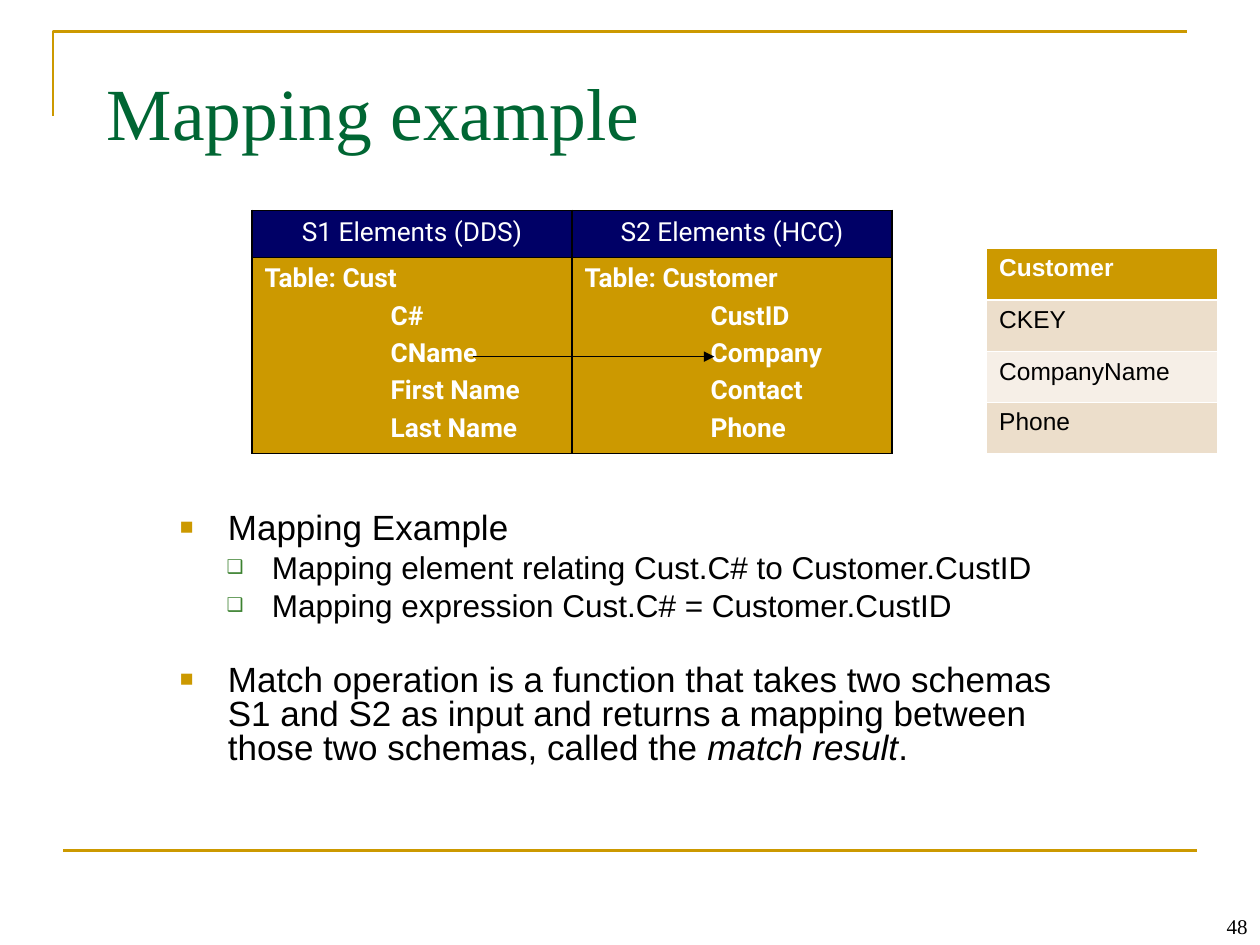
from lxml.etree import SubElement
from pptx import Presentation
from pptx.dml.color import RGBColor
from pptx.enum.shapes import MSO_CONNECTOR
from pptx.enum.text import MSO_ANCHOR, PP_ALIGN
from pptx.oxml.ns import qn
from pptx.util import Inches, Pt

GOLD, NAVY, GREEN, WHITE, BLACK = "CC9900", "000066", "006633", "FFFFFF", "000000"
TITLE = {"name": "Times New Roman", "size": Pt(42), "color": GREEN}
PAGE_NUMBER = {"name": "Times New Roman", "size": Pt(12), "color": BLACK}
BODY = {"name": "Arial", "size": Pt(20), "color": BLACK}
SUB_BODY = BODY | {"size": Pt(18)}
SCHEMA_HEAD = {"name": "Roboto", "size": Pt(15), "color": WHITE}
SCHEMA_BODY = SCHEMA_HEAD | {"bold": True}
CUSTOMER_BODY = {"name": "Arial", "size": Pt(14), "color": BLACK, "bold": False}
CUSTOMER_HEAD = CUSTOMER_BODY | {"color": WHITE, "bold": True}

MAIN_BULLET = {"char": "■", "color": GOLD, "percent": 65, "left": 0.38, "hang": 0.38}
SUB_BULLET = {"char": "❑", "color": "3B812F", "percent": 60, "left": 0.73, "hang": 0.36}
# bullet, font, space before, spans of text and format
BULLETS = [
    (MAIN_BULLET, BODY, 0, [("Mapping Example", {})]),
    (SUB_BULLET, SUB_BODY, 4.5,
     [("Mapping element relating Cust.C# to Customer.CustID", {})]),
    (SUB_BULLET, SUB_BODY, 4.5,
     [("Mapping expression Cust.C# = Customer.CustID", {})]),
    (MAIN_BULLET, BODY, 24,
     [("Match operation is a function that takes two schemas S1 and S2 as input "
       "and returns a mapping between those two schemas, called the ", {}),
      ("match result", {"italic": True}), (".", {})]),
]
SCHEMAS = [
    ("S1 Elements (DDS)", ["Table: Cust", "C#", "CName", "First Name", "Last Name"]),
    ("S2 Elements (HCC)", ["Table: Customer", "CustID", "Company", "Contact", "Phone"]),
]
CUSTOMER_ROWS = ["Customer", "CKEY", "CompanyName", "Phone"]


def rgb(color):
    return RGBColor.from_string(color)


def add_span(para, text, style):
    span = para.add_run()
    span.text = text
    for name, value in style.items():
        if name == "color":
            span.font.color.rgb = rgb(value)
        else:
            setattr(span.font, name, value)


def add_box(page, left, top, width, height, **frame_format):
    box = page.shapes.add_textbox(*map(Inches, (left, top, width, height)))
    frame = box.text_frame
    for name, value in ({"word_wrap": True} | frame_format).items():
        setattr(frame, name, value)
    return frame


def set_line(line, color, width):
    line.color.rgb = rgb(color)
    line.width = Pt(width)


def add_line(page, start, end, color, width, arrow=False):
    line = page.shapes.add_connector(
        MSO_CONNECTOR.STRAIGHT, *map(Inches, (*start, *end)))
    set_line(line.line, color, width)
    properties = line._element.spPr
    if arrow:
        SubElement(properties.find(qn("a:ln")), qn("a:tailEnd"), type="triangle")
    SubElement(properties, qn("a:effectLst"))


def add_corner(page):
    builder = page.shapes.build_freeform(Inches(0.42), Inches(0.92))
    builder.add_line_segments(
        [(Inches(0.42), Inches(0.25)), (Inches(9.42), Inches(0.25))], close=False)
    corner = builder.convert_to_shape()
    corner.shadow.inherit = False
    corner.fill.background()
    set_line(corner.line, GOLD, 1.5)


def set_bullet(para, bullet):
    properties = para._p.get_or_add_pPr()
    properties.set("marL", str(Inches(bullet["left"])))
    properties.set("indent", str(-Inches(bullet["hang"])))
    color = SubElement(properties, qn("a:buClr"))
    SubElement(color, qn("a:srgbClr"), val=bullet["color"])
    SubElement(properties, qn("a:buSzPct"), val=str(bullet["percent"] * 1000))
    SubElement(properties, qn("a:buFont"), typeface="Arial")
    SubElement(properties, qn("a:buChar"), char=bullet["char"])


def add_bullets(page):
    frame = add_box(page, 1.33, 4, 7.25, 2.33, margin_top=Inches(0.08))
    for index, (bullet, style, space, spans) in enumerate(BULLETS):
        para = frame.add_paragraph() if index else frame.paragraphs[0]
        set_bullet(para, bullet)
        para.line_spacing = 0.8
        para.space_before = Pt(space)
        for text, extra in spans:
            add_span(para, text, style | extra)


def add_grid(page, left, top, widths, heights):
    grid = page.shapes.add_table(
        len(heights), len(widths),
        *map(Inches, (left, top, sum(widths), sum(heights)))).table
    for column, width in zip(grid.columns, widths):
        column.width = Inches(width)
    for row, height in zip(grid.rows, heights):
        row.height = Inches(height)
    return grid


def format_cell(cell, fill, border, widths):
    """Border widths are in the order left, right, top, bottom."""
    properties = cell._tc.get_or_add_tcPr()
    for side, width in zip("LRTB", widths):
        edge = SubElement(properties, qn(f"a:ln{side}"), w=str(Pt(width)))
        SubElement(SubElement(edge, qn("a:solidFill")), qn("a:srgbClr"), val=border)
    cell.fill.solid()
    cell.fill.fore_color.rgb = rgb(fill)


def add_tab(para, position):
    tabs = SubElement(para._p.get_or_add_pPr(), qn("a:tabLst"))
    SubElement(tabs, qn("a:tab"), pos=str(Inches(position)), algn="l")


def add_schema_table(page):
    grid = add_grid(page, 2, 1.67, [2.54, 2.54], [0.37, 1.56])
    sides = [(1.08, 1.47), (1.47, 1.08)]
    for column, (heading, lines) in enumerate(SCHEMAS):
        head, body = grid.cell(0, column), grid.cell(1, column)
        format_cell(head, NAVY, BLACK, (*sides[column], 1.08, 0.45))
        format_cell(body, GOLD, BLACK, (*sides[column], 0.45, 1.08))
        para = head.text_frame.paragraphs[0]
        para.alignment = PP_ALIGN.CENTER
        add_span(para, heading, SCHEMA_HEAD)
        add_span(body.text_frame.paragraphs[0], lines[0], SCHEMA_BODY)
        for line in lines[1:]:
            para = body.text_frame.add_paragraph()
            add_tab(para, 1)
            para.space_before = Pt(3.7)
            add_span(para, "\t" + line, SCHEMA_BODY)


def add_customer_table(page):
    grid = add_grid(page, 7.83, 1.97, [1.83], [0.41, 0.41, 0.4, 0.41])
    for row, text in enumerate(CUSTOMER_ROWS):
        cell = grid.cell(row, 0)
        fill = ("ECDECB" if row % 2 else "F6EFE7") if row else GOLD
        top = 1.47 if row == 1 else 0.45
        bottom = 0.45 if row else 1.47
        format_cell(cell, fill, WHITE, (0.45, 0.45, top, bottom))
        add_span(cell.text_frame.paragraphs[0], text,
                 CUSTOMER_BODY if row else CUSTOMER_HEAD)


def main():
    deck = Presentation()
    deck.slide_width, deck.slide_height = Inches(10), Inches(7.5)
    page = deck.slides.add_slide(deck.slide_layouts[6])
    add_corner(page)
    add_line(page, (0.5, 6.75), (9.5, 6.75), GOLD, 1.5)
    title = add_box(page, 0.75, 0.42, 8.5, 1.25, margin_top=Inches(0.11))
    add_span(title.paragraphs[0], "Mapping example", TITLE)
    add_bullets(page)
    add_schema_table(page)
    number = add_box(page, 7.92, 7, 2.08, 0.5, vertical_anchor=MSO_ANCHOR.BOTTOM)
    number.paragraphs[0].alignment = PP_ALIGN.RIGHT
    add_span(number.paragraphs[0], "48", PAGE_NUMBER)
    add_line(page, (3.75, 2.83), (5.67, 2.83), BLACK, 0.75, arrow=True)
    add_customer_table(page)
    deck.save("out.pptx")


if __name__ == "__main__":
    main()
